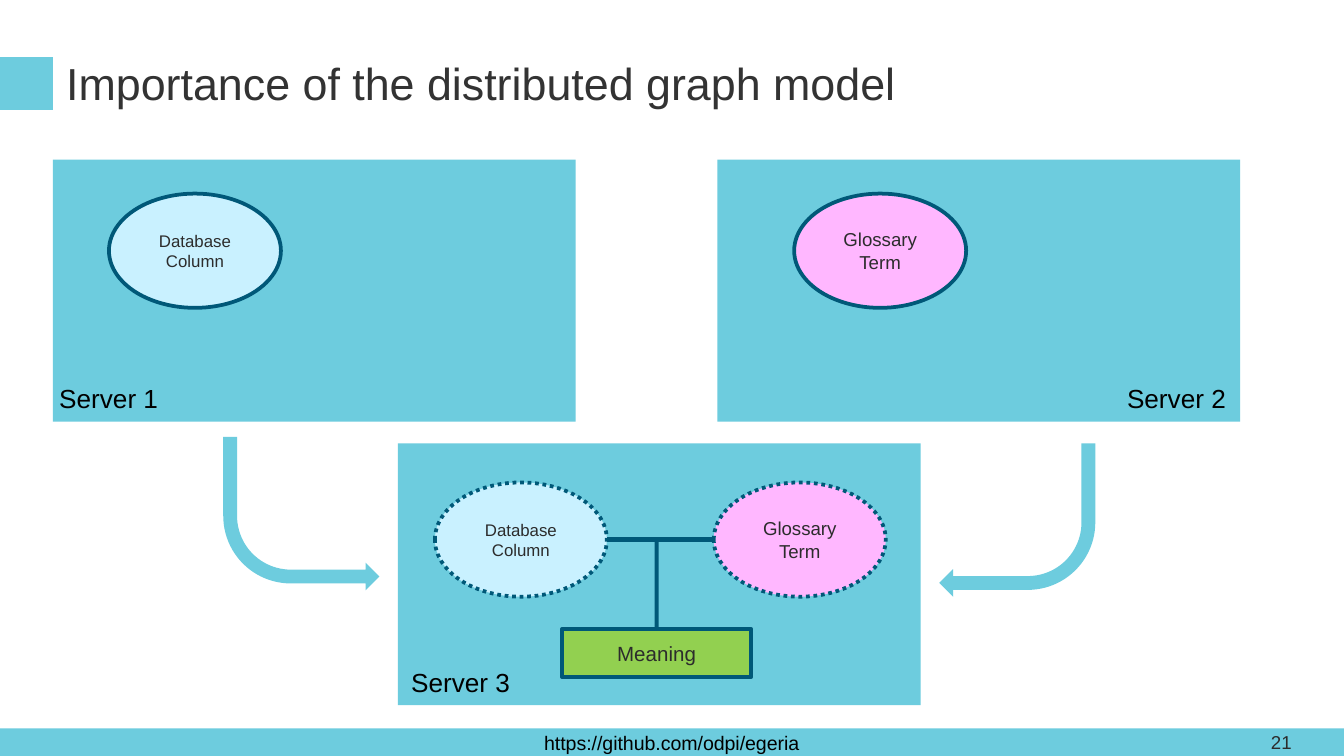
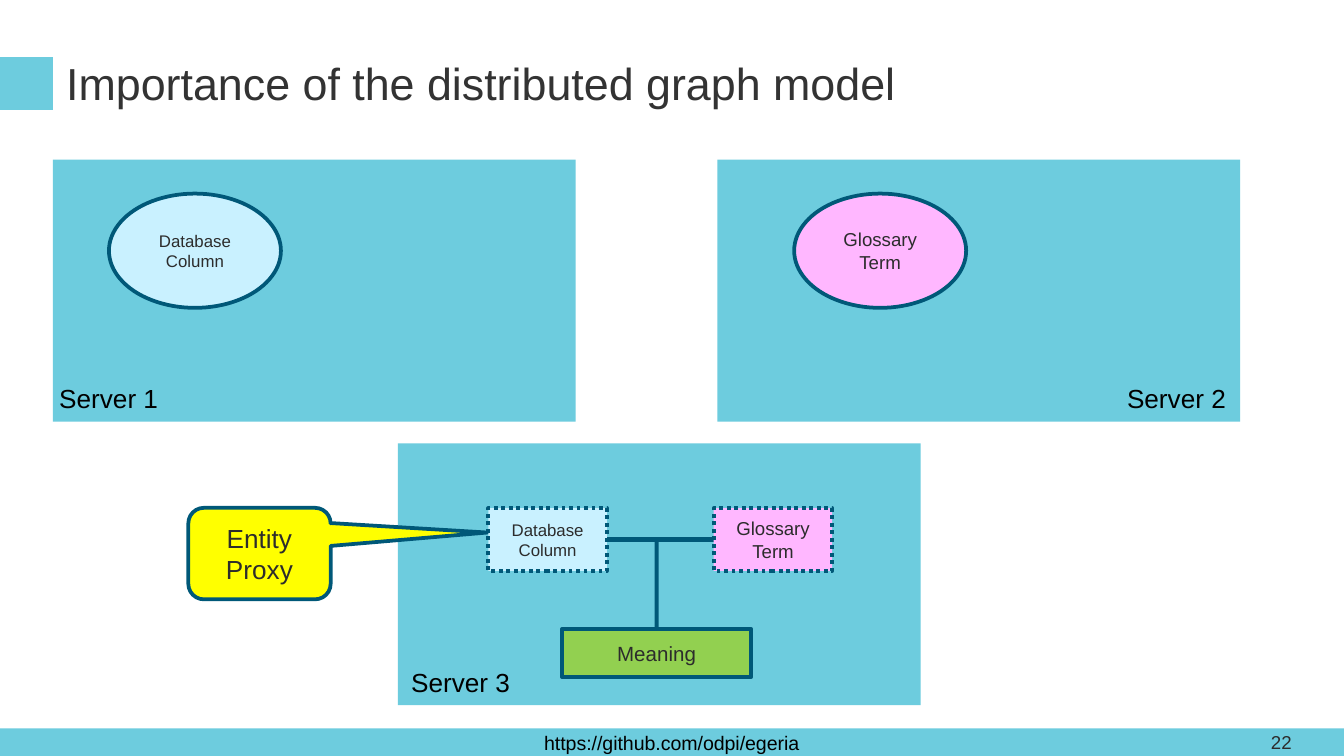
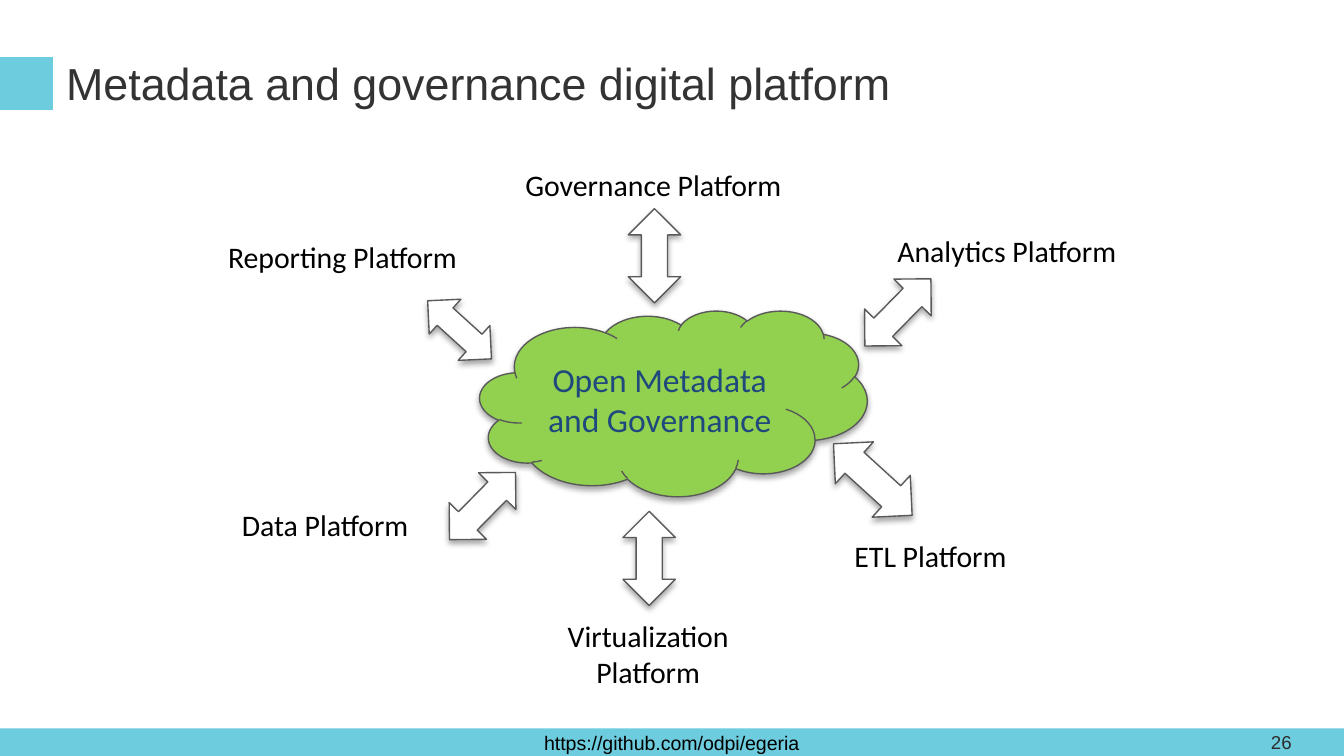
import lxml.etree
import pptx
import pptx.dml.color
import pptx.enum.dml
import pptx.enum.shapes
import pptx.enum.text
import pptx.oxml.ns
import pptx.util

Cm, Pt = pptx.util.Cm, pptx.util.Pt
RGB = pptx.dml.color.RGBColor
SHAPE = pptx.enum.shapes.MSO_SHAPE
LEFT, CENTER = pptx.enum.text.PP_ALIGN.LEFT, pptx.enum.text.PP_ALIGN.CENTER
TOP, MIDDLE = pptx.enum.text.MSO_ANCHOR.TOP, pptx.enum.text.MSO_ANCHOR.MIDDLE
qn = pptx.oxml.ns.qn

# Colours
TEAL = RGB(0x6D, 0xCC, 0xDE)
NAVY = RGB(0x00, 0x58, 0x78)
PALE_BLUE = RGB(0xC9, 0xF1, 0xFF)
PINK = RGB(0xFF, 0xB7, 0xFF)
GREEN = RGB(0x92, 0xD0, 0x50)
YELLOW = RGB(0xFF, 0xFF, 0x00)
WHITE = RGB(0xFF, 0xFF, 0xFF)
BLACK = RGB(0x00, 0x00, 0x00)
TITLE_GREY = RGB(0x33, 0x33, 0x33)
TEXT_GREY = RGB(0x2C, 0x2C, 0x2C)
EDGE_GREY = RGB(0x59, 0x59, 0x59)
CLOUD_BLUE = RGB(0x1F, 0x49, 0x7D)

# Shared content and measures, in cm
WIDTH, HEIGHT = 25.4, 14.29
FOOTER = "https://github.com/odpi/egeria"
FOOTER_H = 0.52
GRAPH_TITLE = "Importance of the distributed graph model"
PANEL_W, PANEL_H = 9.88, 4.95
LABEL_W, LABEL_H = 2.39, 0.86
ELLIPSE_SIZE = (3.25, 2.16)
PROXY_SIZE = (2.24, 1.19)
MEANING = (10.62, 11.89, 3.58, 0.91)
LINK_LEFT, LINK_RIGHT, LINK_Y = 11.47, 13.49, 10.2

# Servers: name, panel left, panel top, label offset from panel left
SERVERS = [
    ("Server 1", 1, 3.02, -0.13),
    ("Server 2", 13.56, 3.02, PANEL_W - LABEL_W),
    ("Server 3", 7.52, 8.38, 0),
]
# Entities: text, left, fill, text size
ENTITIES = [
    ("Database\nColumn", 2.06, PALE_BLUE, 9),
    ("Glossary\nTerm", 15.01, PINK, 10),
]
ENTITY_TOP = 3.66

# Platforms: name, left, top, width, height, alignment
PLATFORMS = [
    ("Governance Platform", 9.63, 3.02, 5.44, 0.94, CENTER),
    ("Reporting Platform", 4.06, 4.39, 5.08, 0.94, LEFT),
    ("Analytics Platform", 16.71, 4.27, 5.44, 0.94, LEFT),
    ("Data Platform", 4.32, 9.45, 3.94, 0.94, LEFT),
    ("ETL Platform", 15.9, 10.03, 5.44, 0.94, LEFT),
    ("Virtualization Platform", 9.53, 11.56, 5.44, 1.63, CENTER),
]
# Exchange arrows: left, top, width, height, rotation
EXCHANGES = [
    (7.87, 5.79, 1.63, 0.89, 42.3),
    (15.49, 8.53, 2.01, 1.07, 42.3),
    (16.08, 5.41, 1.78, 0.99, 314.5),
    (8.23, 9.07, 1.78, 0.99, 314.5),
    (11.48, 4.34, 1.78, 0.99, 270),
    (11.38, 10.06, 1.78, 0.99, 270),
]


def write(sp, text, size, color, font="Arial", align=LEFT, anchor=TOP, wrap=True):
    tf = sp.text_frame
    tf.text = text
    tf.word_wrap = wrap
    tf.vertical_anchor = anchor
    for p in tf.paragraphs:
        p.alignment = align
        for r in p.runs:
            r.font.name = font
            r.font.size = Pt(size)
            r.font.color.rgb = color


def add_text(s, box, text, size, color, **style):
    sp = s.shapes.add_textbox(*map(Cm, box))
    write(sp, text, size, color, **style)
    return sp


def add_shape(s, kind, box, fill, line=None, width=2, dotted=False, adjust=()):
    sp = s.shapes.add_shape(kind, *map(Cm, box))
    sp.shadow.inherit = False
    sp.fill.solid()
    sp.fill.fore_color.rgb = fill
    if line is None:
        sp.line.fill.background()
    else:
        sp.line.color.rgb = line
        sp.line.width = Pt(width)
    if dotted:
        sp.line.dash_style = pptx.enum.dml.MSO_LINE.ROUND_DOT
    for i, value in enumerate(adjust):
        sp.adjustments[i] = value
    return sp


def add_node(s, kind, box, text, fill, size, **look):
    sp = add_shape(s, kind, box, fill, NAVY, **look)
    write(sp, text, size, TEXT_GREY, align=CENTER, anchor=MIDDLE)
    return sp


def add_link(s, x1, y1, x2, y2):
    link = s.shapes.add_connector(
        pptx.enum.shapes.MSO_CONNECTOR.STRAIGHT, *map(Cm, (x1, y1, x2, y2)))
    link.line.color.rgb = NAVY
    link.line.width = Pt(2.25)
    lxml.etree.SubElement(link._element.spPr, qn("a:effectLst"))
    return link


def add_raised(s, kind, box, fill):
    sp = add_shape(s, kind, box, fill, EDGE_GREY, 0.75)
    effects = sp._element.spPr.find(qn("a:effectLst"))
    shadow = lxml.etree.SubElement(
        effects, qn("a:outerShdw"), blurRad="40000", dist="23000",
        dir="5400000", rotWithShape="0")
    color = lxml.etree.SubElement(shadow, qn("a:srgbClr"), val=str(BLACK))
    lxml.etree.SubElement(color, qn("a:alpha"), val="35000")
    return sp


def add_slide(prs, title, number):
    s = prs.slides.add_slide(prs.slide_layouts[6])
    footer_top = HEIGHT - FOOTER_H
    band = add_shape(s, SHAPE.RECTANGLE, (0, footer_top, WIDTH, FOOTER_H), TEAL)
    write(band, FOOTER, 10.5, BLACK, align=CENTER, anchor=MIDDLE)
    add_shape(s, SHAPE.RECTANGLE, (0, 1.08, 1, 1), TEAL)
    heading = add_text(s, (1, 0.81, 23.55, 1.57), title, 24, TITLE_GREY)
    page = add_text(s, (23.77, footer_top, 1.52, FOOTER_H), str(number), 10,
                    TEXT_GREY, anchor=MIDDLE)
    for sp in (heading, page):
        sp.text_frame.margin_top = sp.text_frame.margin_bottom = Cm(0.25)
    return s


def add_graph_slide(prs, number, kind, size, column_text):
    s = add_slide(prs, GRAPH_TITLE, number)
    # Server panels with their names at the bottom
    for name, left, top, offset in SERVERS:
        add_shape(s, SHAPE.RECTANGLE, (left, top, PANEL_W, PANEL_H), TEAL)
        add_text(s, (left + offset, top + PANEL_H - LABEL_H, LABEL_W, LABEL_H),
                 name, 14, BLACK, wrap=False)
    # Entities at home
    for text, left, fill, points in ENTITIES:
        add_node(s, SHAPE.OVAL, (left, ENTITY_TOP, *ELLIPSE_SIZE), text, fill, points)
    # Relationship and its two ends in the third server
    meaning = add_node(s, SHAPE.RECTANGLE, MEANING, "Meaning", GREEN, 11)
    link = add_link(s, LINK_LEFT, LINK_Y, LINK_RIGHT, LINK_Y)
    stem_x = MEANING[0] + MEANING[2] / 2
    add_link(s, stem_x, LINK_Y, stem_x, MEANING[1]).end_connect(meaning, 0)
    w, h = size
    ends = []
    for (text, _, fill, points), left in zip(ENTITIES, (LINK_LEFT - w, LINK_RIGHT)):
        text = column_text if fill == PALE_BLUE else text
        ends.append(add_node(s, kind, (left, LINK_Y - h / 2, w, h), text, fill,
                             points, dotted=True))
    if kind == SHAPE.RECTANGLE:
        link.begin_connect(ends[0], 3)
        link.end_connect(ends[1], 1)
    return s


def main():
    prs = pptx.Presentation()
    prs.slide_width, prs.slide_height = Cm(WIDTH), Cm(HEIGHT)

    # Entities copied to the third server
    s = add_graph_slide(prs, 21, SHAPE.OVAL, ELLIPSE_SIZE, "Database Column")
    bend = (0.09, 0.09, 0.09, 0.44)
    from_first = add_shape(s, SHAPE.BENT_ARROW, (4.22, 8.26, 2.95, 2.9), TEAL, adjust=bend)
    from_first._element.spPr.xfrm.set("flipV", "1")
    from_second = add_shape(s, SHAPE.BENT_ARROW, (17.75, 8.38, 2.95, 2.9), TEAL, adjust=bend)
    from_second.rotation = 180

    # Proxies in the third server
    s = add_graph_slide(prs, 22, SHAPE.RECTANGLE, PROXY_SIZE, "Database\nColumn")
    add_node(s, SHAPE.ROUNDED_RECTANGULAR_CALLOUT, (3.56, 9.6, 2.69, 1.73),
             "Entity\nProxy", YELLOW, 14, adjust=(1.6, -0.23, 0.17))

    # Platforms around the cloud
    s = add_slide(prs, "Metadata and governance digital platform", 26)
    cloud = add_raised(s, SHAPE.CLOUD, (9.07, 5.87, 7.32, 3.51), GREEN)
    write(cloud, "Open Metadata and Governance", 18, CLOUD_BLUE, "Calibri", CENTER, MIDDLE)
    for *box, angle in EXCHANGES:
        add_raised(s, SHAPE.LEFT_RIGHT_ARROW, box, WHITE).rotation = angle
    for name, *box, align in PLATFORMS:
        add_text(s, box, name, 16, BLACK, font="Calibri", align=align)

    prs.save("out.pptx")


if __name__ == "__main__":
    main()
